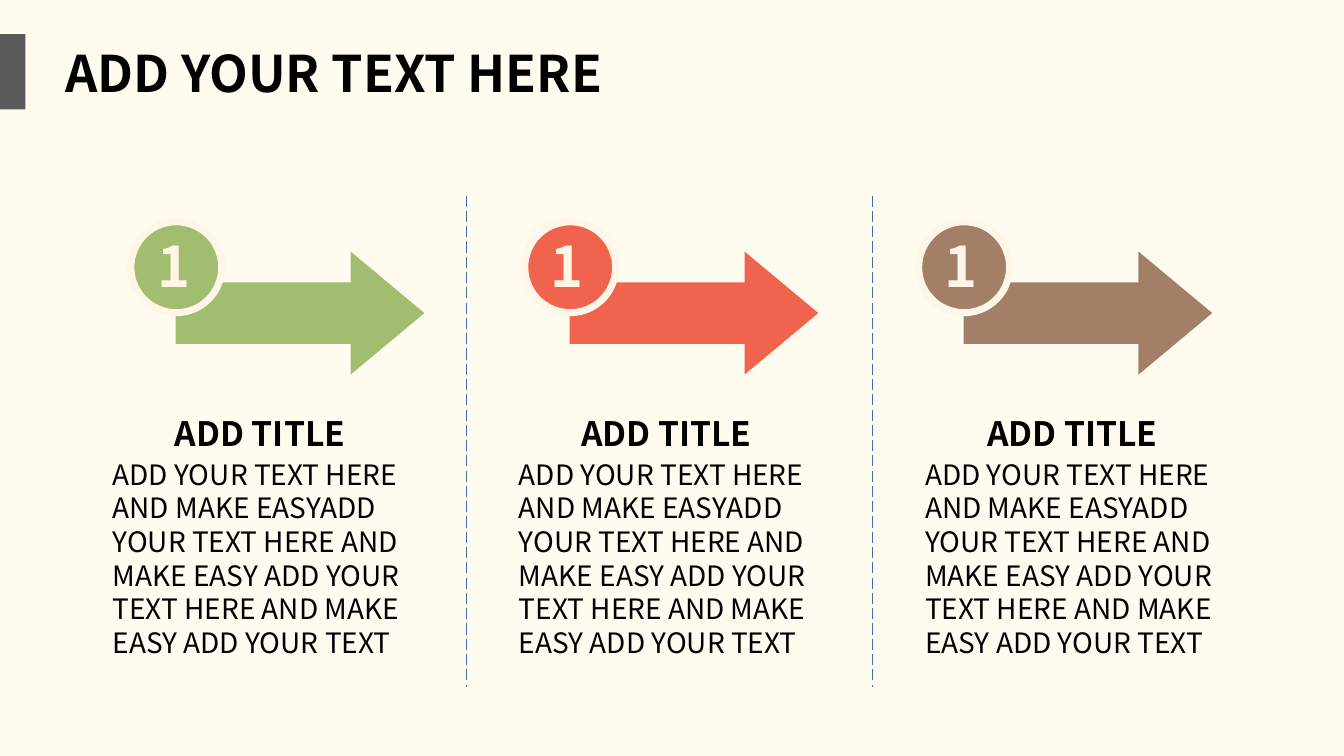
from dataclasses import dataclass

import lxml.etree
import pptx
import pptx.dml.color
import pptx.enum.dml
import pptx.enum.shapes
import pptx.enum.text
import pptx.oxml.ns
import pptx.util

Cm = pptx.util.Cm
Shapes = pptx.enum.shapes.MSO_SHAPE


@dataclass(frozen=True)
class Theme:
    font: str = "Noto Sans CJK SC"
    background: str = "FFFBEF"
    ink: str = "000000"
    cream: str = "FFF6E7"
    tab: str = "595959"
    divider: str = "42719B"
    title_size: int = 36
    number_size: int = 40
    heading_size: int = 24
    body_size: int = 20


@dataclass(frozen=True)
class Box:
    left: float
    top: float
    width: float
    height: float

    def shifted(self, distance: float) -> "Box":
        return Box(self.left + distance, self.top, self.width, self.height)

    def lengths(self) -> tuple:
        return Cm(self.left), Cm(self.top), Cm(self.width), Cm(self.height)


@dataclass(frozen=True)
class Step:
    number: str
    heading: str
    body: str
    color: str


THEME = Theme()
BODY = (
    "ADD YOUR TEXT HERE AND MAKE EASYADD YOUR TEXT HERE AND MAKE EASY "
    "ADD YOUR TEXT HERE AND MAKE EASY ADD YOUR TEXT"
)
STEPS = [Step("1", "ADD TITLE", BODY, color) for color in ("A1BD70", "F0644D", "A37F67")]

ARROW_PITCH = 9.93
COLUMN_PITCH = 10.24
TITLE = Box(1.4, 0.94, 14.12, 1.78)
TAB = Box(0, 0.86, 0.64, 1.9)
ARROW = Box(4.43, 6.34, 6.27, 3.1)
CIRCLE = Box(3.3, 5.59, 2.29, 2.29)
NUMBER = Box(3.71, 5.72, 1.47, 1.96)
HEADING = Box(4.16, 10.29, 4.8, 1.27)
COLUMN = Box(2.59, 11.4, 8.74, 6.2)
DIVIDER = Box(11.76, 4.93, 0, 12.37)


def rgb(color: str) -> pptx.dml.color.RGBColor:
    return pptx.dml.color.RGBColor.from_string(color)


def write(shape, text: str, size: int, color: str, bold: bool, wrap: bool) -> None:
    frame = shape.text_frame
    frame.text = text
    frame.word_wrap = wrap
    frame.auto_size = pptx.enum.text.MSO_AUTO_SIZE.NONE
    frame.vertical_anchor = pptx.enum.text.MSO_ANCHOR.TOP
    para = frame.paragraphs[0]
    para.alignment = pptx.enum.text.PP_ALIGN.LEFT
    para.font.name = THEME.font
    para.font.size = pptx.util.Pt(size)
    para.font.bold = bold
    para.font.color.rgb = rgb(color)


def add_text(page, box: Box, text: str, size: int, color: str, bold: bool, wrap: bool) -> None:
    write(page.shapes.add_textbox(*box.lengths()), text, size, color, bold, wrap)


def add_filled(page, kind, box: Box, color: str):
    shape = page.shapes.add_shape(kind, *box.lengths())
    shape.shadow.inherit = False
    shape.fill.solid()
    shape.fill.fore_color.rgb = rgb(color)
    shape.line.fill.background()
    return shape


def add_title(page, text: str) -> None:
    title = page.shapes.title
    title.left, title.top, title.width, title.height = TITLE.lengths()
    write(title, text, THEME.title_size, THEME.ink, bold=True, wrap=False)


def add_divider(page, box: Box) -> None:
    left, top, width, height = box.lengths()
    line = page.shapes.add_connector(
        pptx.enum.shapes.MSO_CONNECTOR.STRAIGHT, left, top, left + width, top + height
    )
    line.line.color.rgb = rgb(THEME.divider)
    line.line.width = pptx.util.Pt(1)
    line.line.dash_style = pptx.enum.dml.MSO_LINE.LONG_DASH
    properties = line._element.spPr
    lxml.etree.SubElement(properties, pptx.oxml.ns.qn("a:effectLst"))


def add_step(page, step: Step, index: int) -> None:
    arrow_shift = index * ARROW_PITCH
    column_shift = index * COLUMN_PITCH

    arrow = add_filled(page, Shapes.RIGHT_ARROW, ARROW.shifted(arrow_shift), step.color)
    arrow.adjustments[0] = 0.5
    arrow.adjustments[1] = 0.6
    circle = add_filled(page, Shapes.OVAL, CIRCLE.shifted(arrow_shift), step.color)
    circle.line.color.rgb = rgb(THEME.cream)
    circle.line.width = pptx.util.Pt(5)

    add_text(page, NUMBER.shifted(arrow_shift), step.number,
             THEME.number_size, THEME.cream, bold=True, wrap=True)
    add_text(page, HEADING.shifted(column_shift), step.heading,
             THEME.heading_size, THEME.ink, bold=True, wrap=False)
    add_text(page, COLUMN.shifted(column_shift), step.body,
             THEME.body_size, THEME.ink, bold=False, wrap=True)


def main() -> None:
    deck = pptx.Presentation()
    deck.slide_width = Cm(33.88)
    deck.slide_height = Cm(19.05)
    page = deck.slides.add_slide(deck.slide_layouts.get_by_name("Title Only"))
    page.background.fill.solid()
    page.background.fill.fore_color.rgb = rgb(THEME.background)

    add_filled(page, Shapes.RECTANGLE, TAB, THEME.tab)
    add_title(page, "ADD YOUR TEXT HERE")
    for index, step in enumerate(STEPS):
        add_step(page, step, index)
    for index in range(len(STEPS) - 1):
        add_divider(page, DIVIDER.shifted(index * COLUMN_PITCH))

    deck.save("out.pptx")


if __name__ == "__main__":
    main()
